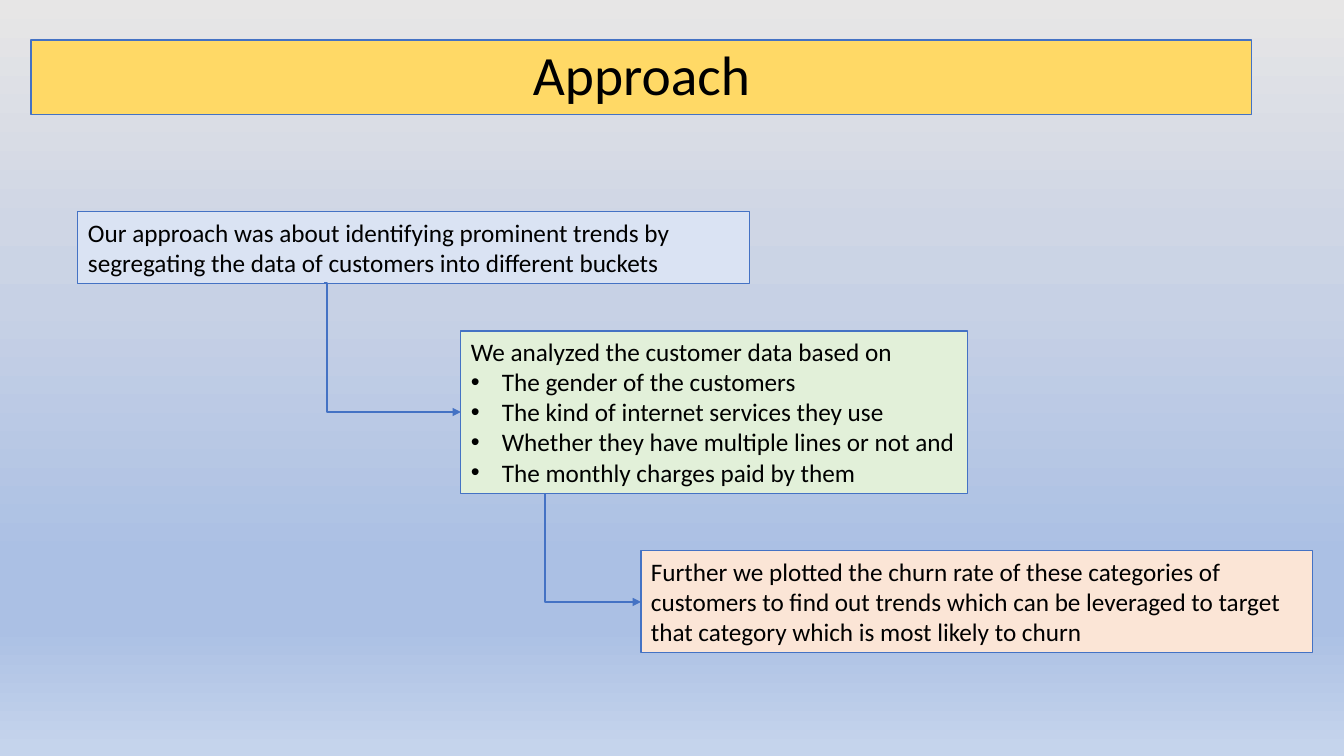
"""Build the "Approach" slide: three stepped text boxes joined by elbow arrows."""
from lxml.etree import SubElement
from pptx import Presentation
from pptx.dml.color import RGBColor
from pptx.enum.shapes import MSO_CONNECTOR
from pptx.enum.text import MSO_ANCHOR, MSO_AUTO_SIZE, PP_ALIGN
from pptx.oxml.ns import qn
from pptx.util import Pt

PX = 914400 / 100.8
FONT = "Calibri"
BULLET_INDENT = 31
COLORS = {
    "text": "000000", "accent": "4472C4", "title": "FFD966",
    "blue": "DAE3F3", "green": "E2F0D9", "orange": "FBE5D6",
}
BACKGROUND_STOPS = [
    (0, "E7E6E6"), (30, "CFD6E5"), (35, "CBD4E5"), (40, "C7D1E5"),
    (74, "ABC0E4"), (83, "ABC0E4"), (99, "C5D4EC"), (100, "C7D5ED"),
]
TITLE = ("Approach", (31, 40, 1221, 75))
STEPS = [
    ("blue", (78, 212, 672, 72),
     "Our approach was about identifying prominent trends by segregating "
     "the data of customers into different buckets", []),
    ("green", (461, 331, 507, 163), "We analyzed the customer data based on",
     ["The gender of the customers",
      "The kind of internet services they use",
      "Whether they have multiple lines or not and",
      "The monthly charges paid by them"]),
    ("orange", (641, 551, 672, 102),
     "Further we plotted the churn rate of these categories of customers to "
     "find out trends which can be leveraged to target that category which "
     "is most likely to churn", []),
]
ARROWS = [((324, 283), (461, 412), 2), ((545, 494), (641, 602), 0)]


def px(*lengths):
    return [round(length * PX) for length in lengths]


def paint_background(slide):
    fill = slide.background.fill
    fill.gradient()
    fill.gradient_angle = 270
    stops = next(slide.element.iter(qn("a:gsLst")))
    stops.clear()
    for percent, color in BACKGROUND_STOPS:
        stop = SubElement(stops, qn("a:gs"), pos=str(percent * 1000))
        SubElement(stop, qn("a:srgbClr"), val=color)


def paint_box(box, fill):
    box.fill.solid()
    box.fill.fore_color.rgb = RGBColor.from_string(COLORS[fill])
    box.line.color.rgb = RGBColor.from_string(COLORS["accent"])
    box.line.width = Pt(0.75)


def style_font(paragraph, size):
    paragraph.font.name = FONT
    paragraph.font.size = Pt(size)
    paragraph.font.color.rgb = RGBColor.from_string(COLORS["text"])


def add_title(slide):
    text, place = TITLE
    title = slide.shapes.title
    title.left, title.top, title.width, title.height = px(*place)
    paint_box(title, "title")
    frame = title.text_frame
    frame.text = text
    frame.auto_size = MSO_AUTO_SIZE.NONE
    frame.vertical_anchor = MSO_ANCHOR.MIDDLE
    heading = frame.paragraphs[0]
    heading.alignment = PP_ALIGN.CENTER
    heading.line_spacing = 0.9
    style_font(heading, 39.6)


def add_step(slide, fill, place, lead, bullets):
    step = slide.shapes.add_textbox(*px(*place))
    paint_box(step, fill)
    frame = step.text_frame
    frame.word_wrap = True
    frame.auto_size = MSO_AUTO_SIZE.SHAPE_TO_FIT_TEXT
    frame.text = "\n".join([lead, *bullets])
    for paragraph in frame.paragraphs:
        style_font(paragraph, 18)
    indent = px(BULLET_INDENT)[0]
    for paragraph in frame.paragraphs[1:]:
        properties = paragraph._p.get_or_add_pPr()
        properties.set("marL", str(indent))
        properties.set("indent", str(-indent))
        bullet_font = properties.makeelement(qn("a:buFont"), {"typeface": "Arial"})
        bullet = properties.makeelement(qn("a:buChar"), {"char": "•"})
        properties.insert(0, bullet_font)
        properties.insert(1, bullet)


def add_arrow(slide, start, end, bend_percent):
    arrow = slide.shapes.add_connector(MSO_CONNECTOR.ELBOW, *px(*start, *end))
    arrow.line.color.rgb = RGBColor.from_string(COLORS["accent"])
    arrow.line.width = Pt(1.5)
    properties = arrow._element.spPr
    SubElement(properties.find(qn("a:ln")), qn("a:tailEnd"), type="triangle")
    SubElement(properties, qn("a:effectLst"))
    adjustments = properties.find(qn("a:prstGeom")).get_or_add_avLst()
    SubElement(adjustments, qn("a:gd"), name="adj1",
               fmla=f"val {bend_percent * 1000}")


def main():
    deck = Presentation()
    deck.slide_width, deck.slide_height = px(1344, 756)
    slide = deck.slides.add_slide(deck.slide_layouts[5])
    paint_background(slide)
    add_title(slide)
    for step in STEPS:
        add_step(slide, *step)
    for arrow in ARROWS:
        add_arrow(slide, *arrow)
    deck.save("out.pptx")


if __name__ == "__main__":
    main()
